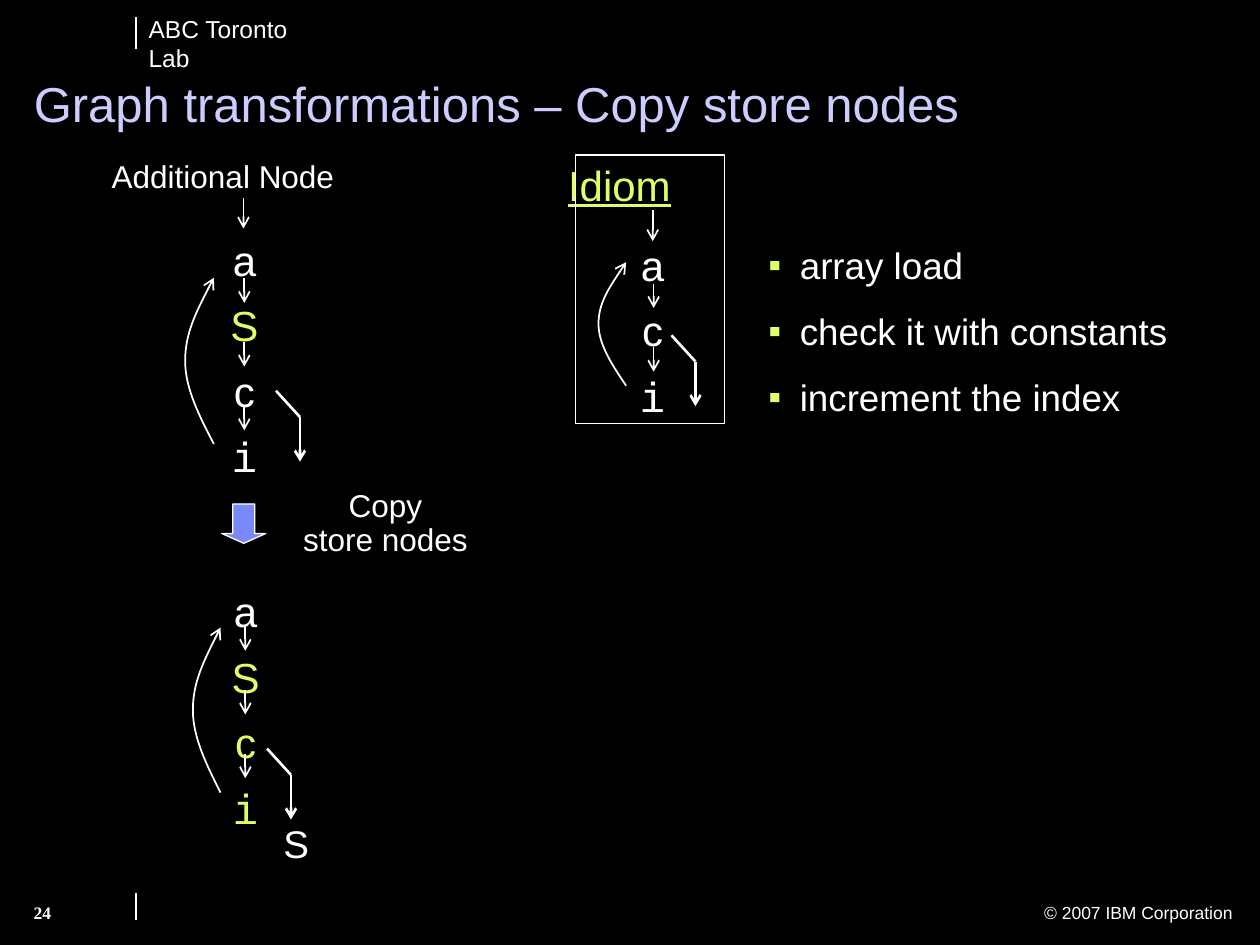
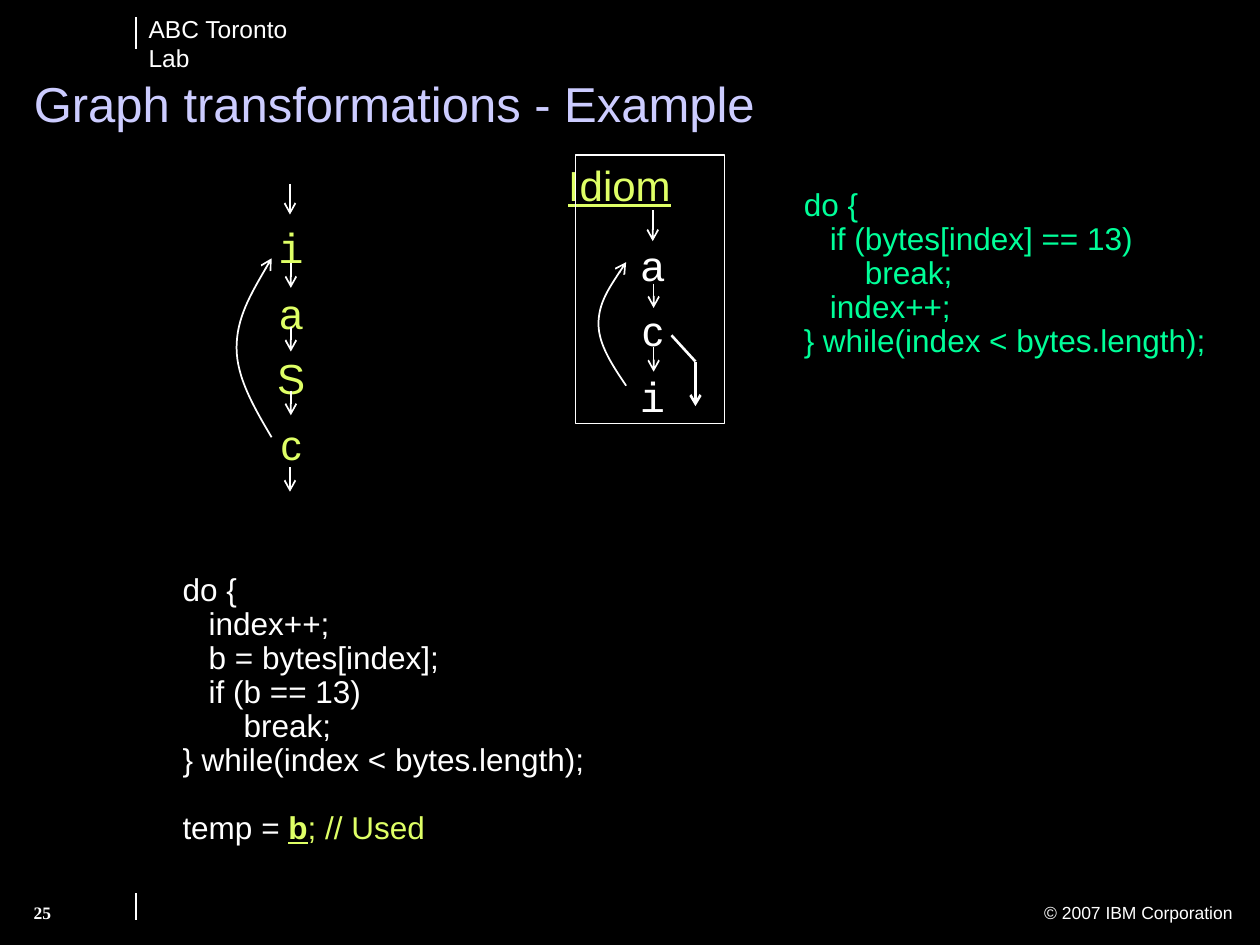
from dataclasses import dataclass

from lxml import etree
from pptx import Presentation
from pptx.dml.color import RGBColor
from pptx.enum.shapes import MSO_CONNECTOR, MSO_SHAPE
from pptx.enum.text import MSO_ANCHOR, MSO_AUTO_SIZE, PP_ALIGN
from pptx.oxml.ns import qn
from pptx.util import Pt

STRAIGHT = MSO_CONNECTOR.STRAIGHT
RECTANGLE = MSO_SHAPE.RECTANGLE
DOWN_ARROW = MSO_SHAPE.DOWN_ARROW
LEFT, CENTER, RIGHT = PP_ALIGN.LEFT, PP_ALIGN.CENTER, PP_ALIGN.RIGHT
BOTTOM = MSO_ANCHOR.BOTTOM
NO_FIT, FIT_SHAPE = MSO_AUTO_SIZE.NONE, MSO_AUTO_SIZE.SHAPE_TO_FIT_TEXT

BLACK, WHITE = "000000", "FFFFFF"
LAVENDER, LIME, MINT, BLUE = "CCCCFF", "DFFF66", "00FF99", "7889FB"
SANS, MONO, SERIF = "Arial", "Courier New", "Times New Roman"
TITLE_ONLY = 5
LINK_X, LINK_STEP, LINK_LENGTH = 33, 36.4, 14


@dataclass
class Run:
    text: str
    color: str = WHITE
    font: str = SANS
    bold: bool = False
    underline: bool = False


def rgb(color):
    return RGBColor.from_string(color)


def points(*values):
    return [Pt(value) for value in values]


def write_runs(paragraph, runs, size):
    for part in runs:
        run = paragraph.add_run()
        run.text = part.text
        font = run.font
        font.size, font.name = Pt(size), part.font
        font.bold, font.underline = part.bold, part.underline
        font.color.rgb = rgb(part.color)


def add_text(slide, box, lines, size, spacing=0.9, align=LEFT, wrap=False, fit=FIT_SHAPE):
    frame = slide.shapes.add_textbox(*points(*box)).text_frame
    frame.word_wrap = wrap
    frame.auto_size = fit
    for index, runs in enumerate(lines):
        paragraph = frame.paragraphs[0] if index == 0 else frame.add_paragraph()
        paragraph.alignment = align
        paragraph.line_spacing = spacing
        write_runs(paragraph, runs, size)
    return frame


def style_line(shape, width, arrow=False):
    shape.line.color.rgb = rgb(WHITE)
    shape.line.width = Pt(width)
    if arrow:
        outline = shape.element.spPr.find(qn("a:ln"))
        etree.SubElement(outline, qn("a:tailEnd"), type="arrow")


def add_line(slide, start, end, width=1, arrow=False):
    line = slide.shapes.add_connector(STRAIGHT, *points(*start, *end))
    style_line(line, width, arrow)
    etree.SubElement(line.element.spPr, qn("a:effectLst"))


def add_loop(slide, x, bottom, top, bulge):
    sixth = (bottom - top) / 6
    depths = (0, 0.5, 1, 1, 1, 0.5, 0)
    start, *curve = [
        points(x - bulge * depth, bottom - sixth * step)
        for step, depth in enumerate(depths)
    ]
    builder = slide.shapes.build_freeform(*start)
    builder.add_line_segments(curve, close=False)
    loop = builder.convert_to_shape()
    outline = next(loop.element.iter(qn("a:path")))
    segments = outline.findall(qn("a:lnTo"))
    for first in (0, 3):
        bezier = etree.SubElement(outline, qn("a:cubicBezTo"))
        for segment in segments[first:first + 3]:
            bezier.append(segment[0])
            outline.remove(segment)
    loop.fill.background()
    style_line(loop, 1, arrow=True)
    loop.shadow.inherit = False


def add_chain(slide, box, nodes, link_top, loop, entry_top=None, exit_joint=None):
    left, top = box[:2]
    add_text(slide, box, [[node] for node in nodes], 24, 1.3, CENTER)
    x = left + LINK_X
    for index in range(len(nodes) - 1):
        y = top + link_top + index * LINK_STEP
        add_line(slide, (x, y), (x, y + LINK_LENGTH), arrow=True)
    if entry_top is not None:
        y = top + entry_top
        add_line(slide, (x - 0.5, y), (x - 0.5, y + 17.5), arrow=True)
    loop_x, loop_bottom, loop_top, bulge = loop
    add_loop(slide, left + loop_x, top + loop_bottom, top + loop_top, bulge)
    if exit_joint:
        joint_x, joint_y = left + exit_joint[0], top + exit_joint[1]
        add_line(slide, (joint_x, joint_y), (joint_x, joint_y + 25.5), 1.5, True)
        add_line(slide, (joint_x, joint_y), (joint_x - 13.7, joint_y - 15), 1.5)


def add_idiom(slide, box):
    left, top, width, height = box
    add_text(slide, (left - 11.5, top + 2, 108.7, 33),
             [[Run("Idiom", LIME, underline=True)]], 24)
    frame = slide.shapes.add_shape(RECTANGLE, *points(*box))
    frame.fill.background()
    style_line(frame, 0.75)
    frame.shadow.inherit = False
    add_chain(slide, (left + 11.5, top + 36, 64.8, 119.5),
              [Run("a"), Run("c"), Run("i", font=MONO)],
              link_top=37.4, loop=(17.3, 95.8, 25.2, 15.8),
              entry_top=-4.3, exit_joint=(56.9, 82))


def add_bullets(slide, box, items):
    frame = add_text(slide, box, [[Run(item)] for item in items], 21, 1.5, wrap=True)
    for paragraph in frame.paragraphs:
        properties = paragraph._p.get_or_add_pPr()
        properties.set("marL", str(Pt(18)))
        properties.set("indent", str(Pt(-18)))
        bullet_color = etree.SubElement(properties, qn("a:buClr"))
        etree.SubElement(bullet_color, qn("a:srgbClr"), val=LIME)
        etree.SubElement(properties, qn("a:buFont"), typeface=SANS)
        etree.SubElement(properties, qn("a:buChar"), char="▪")


def add_code(slide, box, code, color):
    lines = [[Run(line, color)] for line in code.splitlines()]
    return add_text(slide, box, lines, 18, wrap=True)


def start_slide(deck, title_text, number):
    slide = deck.slides.add_slide(deck.slide_layouts[TITLE_ONLY])
    slide.background.fill.solid()
    slide.background.fill.fore_color.rgb = rgb(BLACK)

    title = slide.shapes.title
    title.left, title.top, title.width, title.height = points(12.2, 40.3, 691.2, 39.6)
    frame = title.text_frame
    frame.vertical_anchor = BOTTOM
    frame.auto_size = NO_FIT
    frame.word_wrap = True
    heading = frame.paragraphs[0]
    heading.alignment = LEFT
    heading.line_spacing = 0.9
    write_runs(heading, [Run(title_text, LAVENDER)], 28)

    add_text(slide, (77.8, 4.3, 118.8, 23.8), [[Run("ABC Toronto Lab")]], 14, 1)
    add_text(slide, (450.7, 511.9, 260.6, 19.4), [[Run("© 2007 IBM Corporation")]],
             10, 1, RIGHT, wrap=True)
    add_text(slide, (12.2, 511.9, 79.2, 25.2), [[Run(number, font=SERIF, bold=True)]],
             10, 1, wrap=True, fit=NO_FIT)
    for top, bottom in ((10, 28), (510.5, 525.6)):
        add_line(slide, (77.8, top), (77.8, bottom))
    add_idiom(slide, (329, 88.6, 85, 153.4))
    return slide


def build_copy_store_slide(deck):
    slide = start_slide(deck, "Graph transformations – Copy store nodes", "24")
    add_text(slide, (38.9, 88.6, 177, 26.6), [[Run("Additional Node")]], 18, align=CENTER)
    add_chain(slide, (106.6, 121.7, 66.2, 157),
              [Run("a"), Run("S", LIME), Run("c"), Run("i", font=MONO)],
              link_top=37.4, loop=(15.6, 132, 37, 16.4),
              entry_top=-8.6, exit_joint=(64.8, 116.6))

    step_arrow = slide.shapes.add_shape(DOWN_ARROW, *points(126.7, 288, 25.2, 22.5))
    step_arrow.adjustments[0] = 0.5
    step_arrow.adjustments[1] = 0.25
    step_arrow.fill.solid()
    step_arrow.fill.fore_color.rgb = rgb(BLUE)
    style_line(step_arrow, 0.75)
    step_arrow.shadow.inherit = False
    add_text(slide, (148.3, 276.5, 144, 46), [[Run("Copy")], [Run("store nodes")]],
             18, align=CENTER)

    add_chain(slide, (107.2, 322.6, 66.2, 157),
              [Run("a"), Run("S", LIME), Run("c", LIME), Run("i", LIME, MONO)],
              link_top=35.3, loop=(18.8, 130.3, 36, 15.8), exit_joint=(59.1, 120.2))
    add_text(slide, (136.8, 468, 64.8, 31), [[Run("S")]], 22, align=CENTER)
    add_bullets(slide, (432, 122.4, 247, 121),
                ["array load", "check it with constants", "increment the index"])


def build_example_slide(deck):
    slide = start_slide(deck, "Graph transformations - Example", "25")
    left, top = chain_corner = (133.2, 114.5)
    add_chain(slide, (*chain_corner, 66.2, 157),
              [Run("i", LIME, MONO), Run("a", LIME), Run("S", LIME), Run("c", LIME)],
              link_top=36, loop=(22, 135.4, 33.1, 20), entry_top=-9.4)
    exit_x = left + LINK_X - 0.5
    add_line(slide, (exit_x, top + 152.6), (exit_x, top + 166.5), arrow=True)

    add_code(slide, (452.2, 104.4, 250.6, 107), """do {
   if (bytes[index] == 13)
       break;
   index++;
} while(index < bytes.length);""", MINT)
    loop_code = add_code(slide, (97.2, 324.7, 250.6, 165), """do {
   index++;
   b = bytes[index];
   if (b == 13)
       break;
} while(index < bytes.length);""", WHITE)
    usage = loop_code.add_paragraph()
    usage.line_spacing = 0.9
    usage.space_before = Pt(19.4)
    write_runs(usage, [Run("temp = "), Run("b", LIME, bold=True, underline=True),
                       Run("; // Used", LIME)], 18)


def main():
    deck = Presentation()
    deck.slide_width, deck.slide_height = points(720, 540)
    build_copy_store_slide(deck)
    build_example_slide(deck)
    deck.save("out.pptx")


if __name__ == "__main__":
    main()
